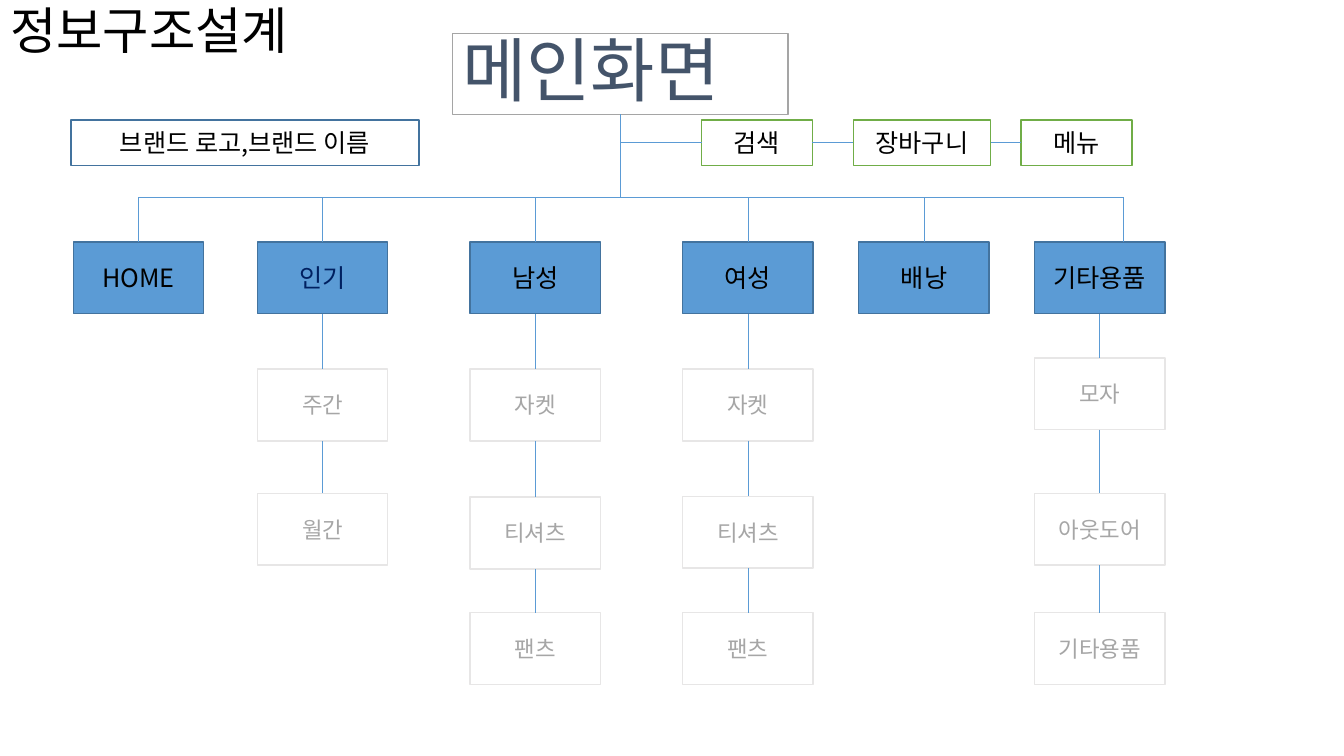
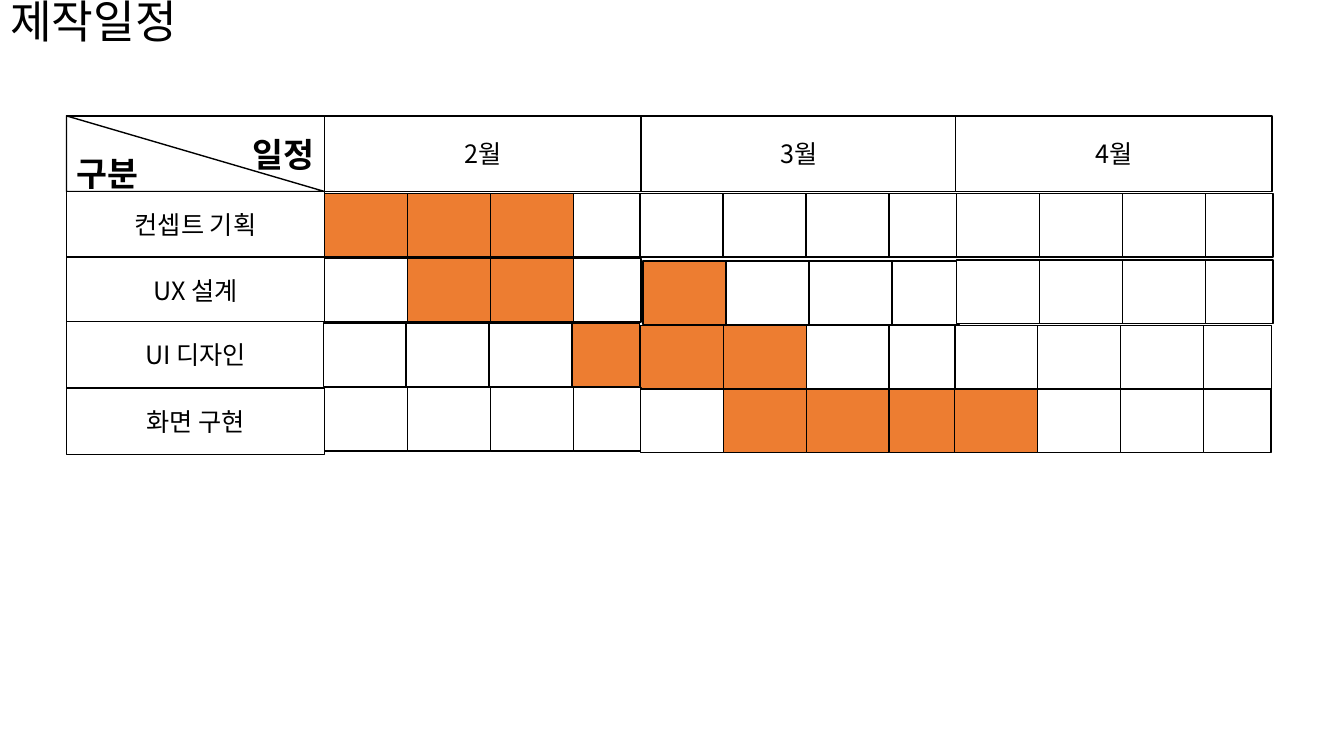
from lxml.etree import SubElement
from pptx import Presentation
from pptx.dml.color import RGBColor
from pptx.enum.shapes import MSO_CONNECTOR, MSO_SHAPE
from pptx.enum.text import MSO_ANCHOR, MSO_AUTO_SIZE, PP_ALIGN
from pptx.oxml.ns import qn
from pptx.util import Inches, Pt

FONT = "Noto Sans CJK KR"
WIDTH, HEIGHT = Inches(13.333), Inches(7.5)

BLACK = RGBColor(0x00, 0x00, 0x00)
WHITE = RGBColor(0xFF, 0xFF, 0xFF)
SLATE = RGBColor(0x44, 0x54, 0x6A)
NAVY = RGBColor(0x00, 0x20, 0x60)
BLUE = RGBColor(0x5B, 0x9B, 0xD5)
DARK_BLUE = RGBColor(0x43, 0x73, 0x9E)
GREEN = RGBColor(0x70, 0xAD, 0x47)
ORANGE = RGBColor(0xED, 0x7D, 0x31)
GRAY = RGBColor(0xA5, 0xA5, 0xA5)
TEXT_GRAY = RGBColor(0xA6, 0xA6, 0xA6)
PALE_GRAY = RGBColor(0xE7, 0xE6, 0xE6)

TOP, LEFT, BOTTOM, RIGHT = range(4)

# All positions and sizes are percentages of the slide's width or height.
BAR_TOP, BAR_HEIGHT = 15.87, 6
BUS_TOP, BUS_END = 26.1, 83.55
CATEGORY_TOP, BOX_WIDTH, BOX_HEIGHT = 32, 9.7, 9.5

MENU_ITEMS = [("검색", 52.2, 8.25), ("장바구니", 63.5, 10.2), ("메뉴", 75.98, 8.25)]

# Category, left edge, text colour, items with their top edges
CATEGORIES = [
    ("HOME", 5.45, BLACK, []),
    ("인기", 19.15, NAVY, [("주간", 48.83), ("월간", 65.25)]),
    ("남성", 34.98, BLACK, [("자켓", 48.83), ("티셔츠", 65.75), ("팬츠", 81.05)]),
    ("여성", 50.8, BLACK, [("자켓", 48.83), ("티셔츠", 65.65), ("팬츠", 81.05)]),
    ("배낭", 63.9, BLACK, []),
    ("기타용품", 76.98, BLACK,
     [("모자", 47.35), ("아웃도어", 65.25), ("기타용품", 81.05)]),
]

LABEL_LEFT, LABEL_WIDTH, LABEL_HEIGHT = 4.95, 19.2, 8.8
HEADER_TOP, HEADER_HEIGHT = 15.33, 10
MONTHS = [("2월", 24.15), ("3월", 47.7), ("4월", 71.1)]
MONTH_WIDTH = 23.55
WEEK_PITCH, WEEK_HEIGHT = 6.17, 8.4
WEEK_WIDTHS = [WEEK_PITCH] * 3 + [5.03]
# Task, label top, running weeks counted from 0, corner of each month's cells
TASKS = [
    ("컨셉트 기획", 25.33, {0, 1, 2},
     [(24.15, 25.6), (47.63, 25.6), (71.18, 25.6)]),
    ("UX 설계", 34, {1, 2, 4},
     [(24.15, 34.2), (47.85, 34.53), (71.18, 34.4)]),
    ("UI 디자인", 42.53, {3, 4, 5},
     [(24.05, 42.75), (47.65, 43.05), (71.05, 43.05)]),
    ("화면 구현", 51.33, {5, 6, 7, 8},
     [(24.15, 51.25), (47.65, 51.5), (71.03, 51.5)]),
]


def across(share):
    return round(WIDTH * share / 100)


def down(share):
    return round(HEIGHT * share / 100)


def area(left, top, width, height):
    return across(left), down(top), across(width), down(height)


def write(text_frame, text, size, color=BLACK, align=PP_ALIGN.CENTER, bold=False):
    text_frame.text = text
    text_frame.vertical_anchor = MSO_ANCHOR.MIDDLE
    paragraph = text_frame.paragraphs[0]
    paragraph.alignment = align
    font = paragraph.font
    font.size, font.bold, font.name = Pt(size), bold, FONT
    font.color.rgb = color
    properties = paragraph._p.get_or_add_pPr().get_or_add_defRPr()
    SubElement(properties, qn("a:ea")).set("typeface", FONT)
    return paragraph


def add_title_slide(presentation, title, place, size):
    slide = presentation.slides.add_slide(presentation.slide_layouts[5])
    shape = slide.shapes.title
    shape.left, shape.top, shape.width, shape.height = area(*place)
    shape.text_frame.auto_size = MSO_AUTO_SIZE.NONE
    write(shape.text_frame, title, size, align=PP_ALIGN.LEFT).line_spacing = 0.9
    return slide


def add_box(slide, place, fill=WHITE, outline=BLACK, kind=MSO_SHAPE.RECTANGLE):
    box = slide.shapes.add_shape(kind, *area(*place))
    box.shadow.inherit = False
    box.fill.solid()
    box.fill.fore_color.rgb = fill
    box.line.color.rgb = outline
    box.line.width = Pt(1)
    return box


def add_text_box(slide, text, place, fill=WHITE, outline=BLACK, size=18, color=BLACK):
    box = add_box(slide, place, fill, outline)
    write(box.text_frame, text, size, color)
    return box


def add_line(slide, start=(0, 0), end=(0, 0), begin_at=None, end_at=None):
    """Draw a line between points, or between (box, side) pairs where given."""
    line = slide.shapes.add_connector(
        MSO_CONNECTOR.STRAIGHT, across(start[0]), down(start[1]),
        across(end[0]), down(end[1]))
    line.line.color.rgb = BLUE
    line.line.width = Pt(0.5)
    SubElement(line._element.spPr, qn("a:effectLst"))
    if begin_at:
        line.begin_connect(*begin_at)
    if end_at:
        line.end_connect(*end_at)


def add_menu_bar(slide, trunk):
    previous = None
    for name, left, width in MENU_ITEMS:
        box = add_text_box(slide, name, (left, BAR_TOP, width, BAR_HEIGHT),
                           outline=GREEN)
        add_line(slide, start=(trunk, BAR_TOP + BAR_HEIGHT / 2),
                 begin_at=previous and (previous, RIGHT), end_at=(box, LEFT))
        previous = box


def add_category(slide, name, left, color, items):
    category = add_text_box(slide, name, (left, CATEGORY_TOP, BOX_WIDTH, BOX_HEIGHT),
                            BLUE, DARK_BLUE, color=color)
    parent = category
    for item, top in items:
        box = add_text_box(slide, item, (left, top, BOX_WIDTH, BOX_HEIGHT),
                           WHITE, PALE_GRAY, 16, TEXT_GRAY)
        add_line(slide, begin_at=(parent, BOTTOM), end_at=(box, TOP))
        parent = box
    return category


def build_structure_slide(presentation):
    slide = add_title_slide(presentation, "정보구조설계", (0, 0, 25, 8.8), 36)
    main_left, main_width = 33.65, 24.98
    trunk = main_left + main_width / 2
    main_box = add_box(slide, (main_left, 4.45, main_width, 10.67), outline=GRAY)
    write(main_box.text_frame, "메인화면", 50, SLATE, PP_ALIGN.LEFT).line_spacing = 0.9
    add_text_box(slide, "브랜드 로고,브랜드 이름", (5.28, BAR_TOP, 25.9, BAR_HEIGHT),
                 outline=DARK_BLUE)
    add_line(slide, end=(trunk, BUS_TOP), begin_at=(main_box, BOTTOM))
    add_menu_bar(slide, trunk)

    centers = [left + BOX_WIDTH / 2 for _, left, _, _ in CATEGORIES]
    add_line(slide, (centers[0], BUS_TOP), (BUS_END, BUS_TOP))
    for center, category in zip(centers[:-1], CATEGORIES):
        box = add_category(slide, *category)
        add_line(slide, start=(center, BUS_TOP), end_at=(box, TOP))
    add_category(slide, *CATEGORIES[-1])
    add_line(slide, (BUS_END, BUS_TOP), (BUS_END, CATEGORY_TOP))


def add_corner(slide):
    """Split the header corner diagonally, with a label in each half."""
    place = (LABEL_LEFT, HEADER_TOP, LABEL_WIDTH, HEADER_HEIGHT)
    corner = add_box(slide, place)
    write(corner.text_frame, "일정", 24, align=PP_ALIGN.RIGHT, bold=True)
    triangle = add_box(slide, place, kind=MSO_SHAPE.ISOSCELES_TRIANGLE)
    triangle.adjustments[0] = 0
    write(triangle.text_frame, "구분", 24, align=PP_ALIGN.LEFT, bold=True)


def add_weeks(slide, left, top, first_week, active_weeks):
    for index, width in enumerate(WEEK_WIDTHS):
        fill = ORANGE if first_week + index in active_weeks else WHITE
        add_box(slide, (left + index * WEEK_PITCH, top, width, WEEK_HEIGHT), fill)


def build_schedule_slide(presentation):
    slide = add_title_slide(presentation, "제작일정", (0, 1.2, 17.6, 3.9), 32.4)
    add_corner(slide)
    for month, left in MONTHS:
        add_text_box(slide, month, (left, HEADER_TOP, MONTH_WIDTH, HEADER_HEIGHT))
    for task, top, _, _ in TASKS:
        add_text_box(slide, task, (LABEL_LEFT, top, LABEL_WIDTH, LABEL_HEIGHT))
    for _, _, active_weeks, corners in TASKS:
        for month_index, (left, top) in enumerate(corners):
            add_weeks(slide, left, top, month_index * len(WEEK_WIDTHS), active_weeks)


def main():
    presentation = Presentation()
    presentation.slide_width, presentation.slide_height = WIDTH, HEIGHT
    build_structure_slide(presentation)
    build_schedule_slide(presentation)
    presentation.save("out.pptx")


if __name__ == "__main__":
    main()
